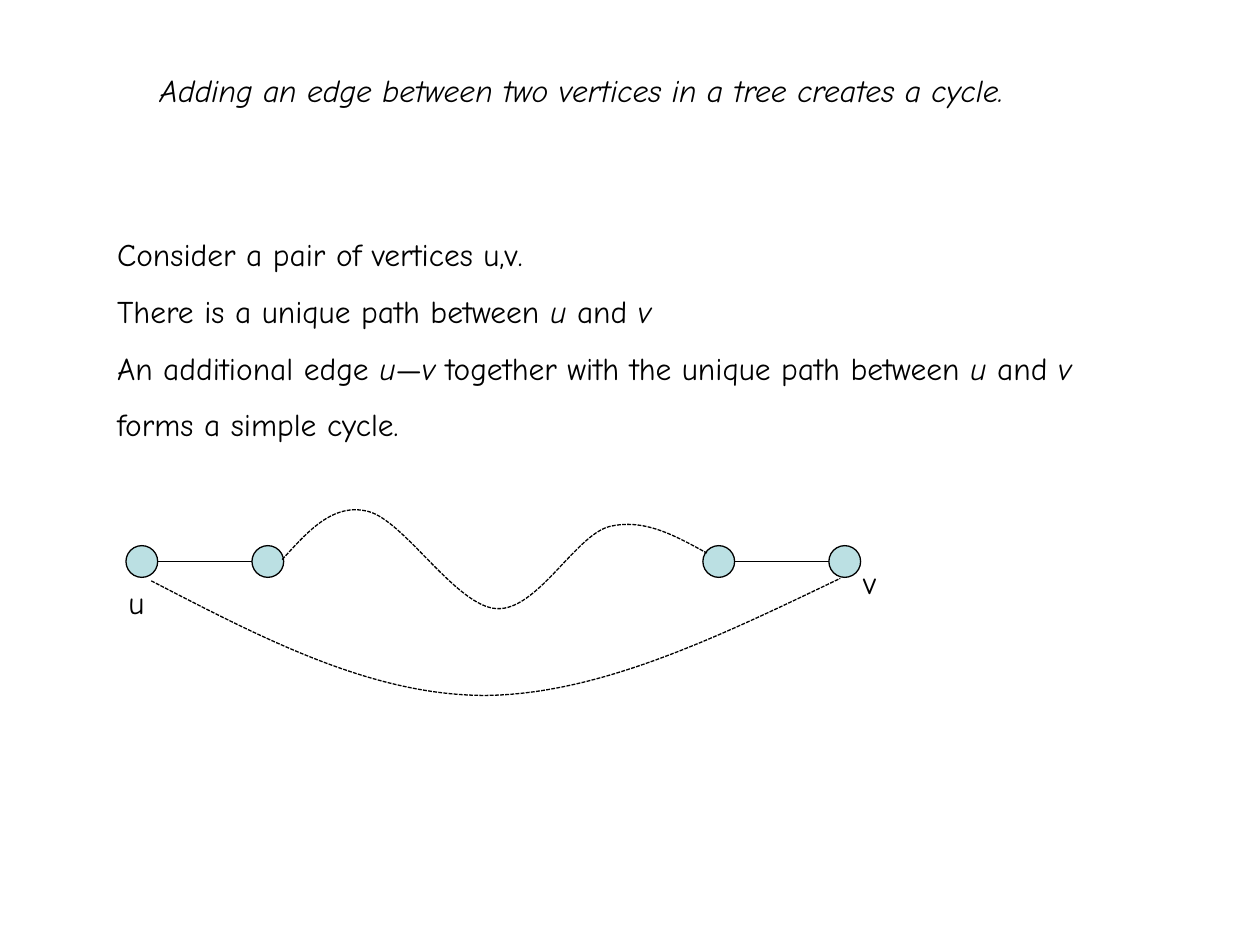
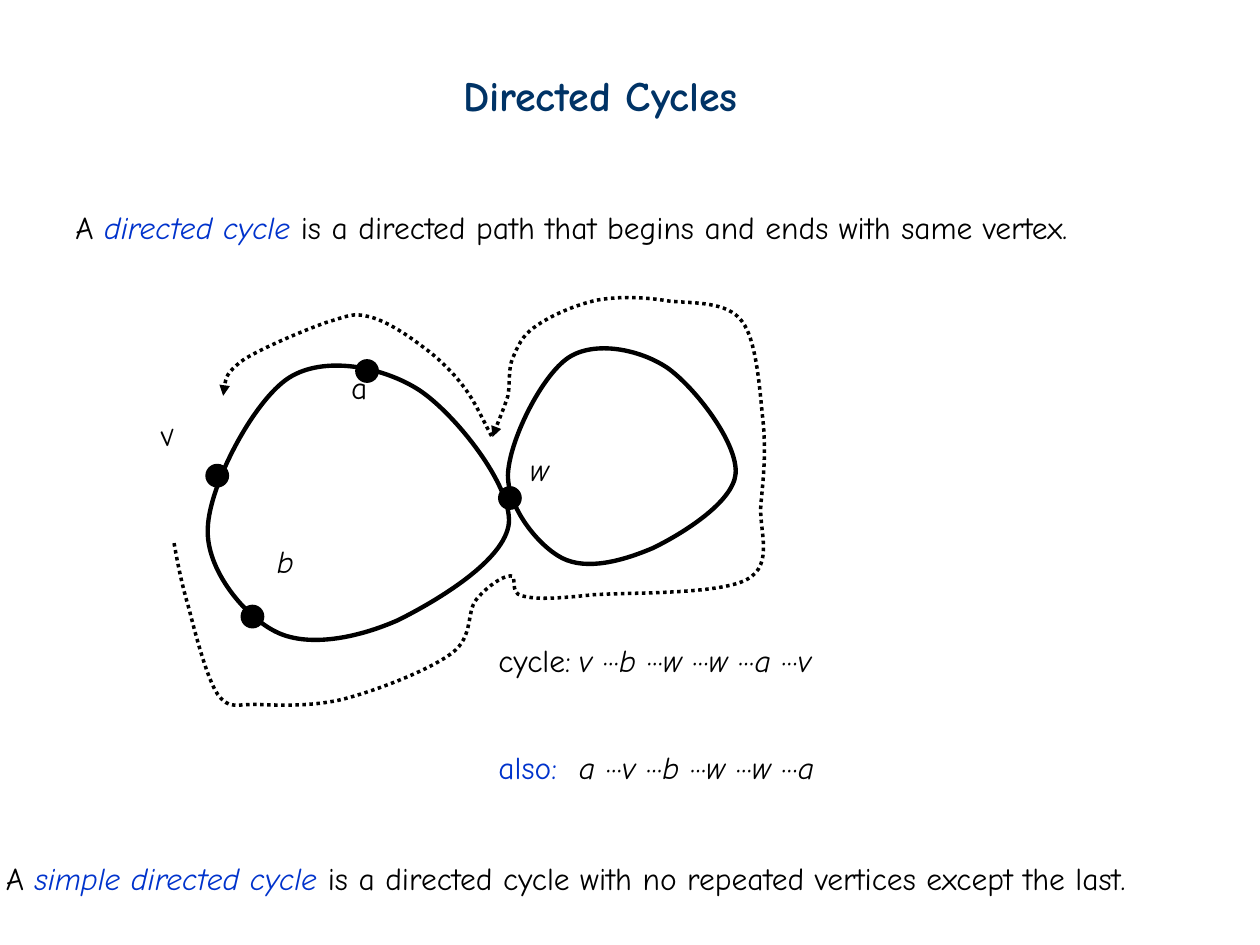
"""Build two slides on cycles in trees and in directed graphs."""
from lxml import etree
from pptx import Presentation
from pptx.dml.color import RGBColor
from pptx.enum.dml import MSO_LINE
from pptx.enum.shapes import MSO_CONNECTOR, MSO_SHAPE
from pptx.enum.text import MSO_AUTO_SIZE
from pptx.oxml.ns import qn
from pptx.util import Cm, Pt

OVAL = MSO_SHAPE.OVAL
STRAIGHT = MSO_CONNECTOR.STRAIGHT
DASHED = MSO_LINE.SQUARE_DOT
DOTTED = MSO_LINE.ROUND_DOT
FIT_TEXT = MSO_AUTO_SIZE.SHAPE_TO_FIT_TEXT

color = RGBColor.from_string
FONT = "Comic Neue"
BLACK, NAVY, BLUE, PALE = "000000", "003366", "0033CC", "BBE0E3"
PLAIN = {}
ITALIC = {"italic": True}
TERM = {"italic": True, "ink": BLUE}
LABEL = {"ink": BLUE}
HEADING = {"bold": True, "size": Pt(24), "ink": NAVY}
TEXT_HEIGHT = 1.02


def write_text(slide, left, top, width, lines, height=TEXT_HEIGHT):
    """Add an unwrapped text box whose lines are lists of (text, style) runs."""
    box = slide.shapes.add_textbox(Cm(left), Cm(top), Cm(width), Cm(height))
    frame = box.text_frame
    frame.word_wrap = False
    frame.auto_size = FIT_TEXT
    for number, runs in enumerate(lines):
        paragraph = frame.add_paragraph() if number else frame.paragraphs[0]
        for text, style in runs:
            if text == "\n":
                paragraph.add_line_break()
                continue
            run = paragraph.add_run()
            run.text = text
            look = {"name": FONT, "size": Pt(18), "ink": BLACK, **style}
            run.font.color.rgb = color(look.pop("ink"))
            for attribute, value in look.items():
                setattr(run.font, attribute, value)
    return box


def draw_curve(slide, points, weight, dash=None, closed=False, arrow=False):
    """Draw a start point followed by triples of cubic Bézier points."""
    start, *rest = [(Cm(x), Cm(y)) for x, y in points]
    builder = slide.shapes.build_freeform(*start)
    builder.add_line_segments(rest, close=closed)
    curve = builder.convert_to_shape()
    curve.shadow.inherit = False
    curve.fill.background()
    curve.line.color.rgb = color(BLACK)
    curve.line.width = Pt(weight)
    if dash is not None:
        curve.line.dash_style = dash
    if arrow:
        outline = curve.element.spPr.find(qn("a:ln"))
        etree.SubElement(outline, qn("a:tailEnd"), type="triangle")
    corners = list(curve.element.iter(qn("a:lnTo")))
    for triple in zip(corners[::3], corners[1::3], corners[2::3]):
        bezier = etree.Element(qn("a:cubicBezTo"))
        triple[0].addprevious(bezier)
        for corner in triple:
            bezier.append(corner[0])
            corner.getparent().remove(corner)


deck = Presentation()
deck.slide_width, deck.slide_height = Cm(25.4), Cm(19.05)
blank = deck.slide_layouts[6]

tree = deck.slides.add_slide(blank)
claim = "Adding an edge between two vertices in a tree creates a cycle."
write_text(tree, 2.97, 1.3, 19.46, [[(claim, ITALIC)]])

proof = write_text(tree, 2.11, 4.24, 21.74, [
    [("Consider a pair of vertices u,v.", PLAIN)],
    [("There is a unique path between ", PLAIN), ("u ", ITALIC),
     ("and ", PLAIN), ("v", ITALIC)],
    [("An additional edge ", PLAIN), ("u", ITALIC), ("—", PLAIN),
     ("v ", ITALIC), ("together with the unique path between ", PLAIN),
     ("u ", ITALIC), ("and ", PLAIN), ("v", ITALIC), ("\n", PLAIN),
     ("forms a simple cycle.", PLAIN)],
], height=4.88)
for step in proof.text_frame.paragraphs:
    step.line_spacing = 1.5

NODE, NODE_TOP, NODE_STEP = 0.64, 11, 2.54
for pair_left in (2.54, 14.17):
    for node_left in (pair_left, pair_left + NODE_STEP):
        node = tree.shapes.add_shape(
            OVAL, Cm(node_left), Cm(NODE_TOP), Cm(NODE), Cm(NODE))
        node.shadow.inherit = False
        node.fill.solid()
        node.fill.fore_color.rgb = color(PALE)
        node.line.color.rgb = color(BLACK)
        node.line.width = Pt(0.75)
    edge_y = Cm(NODE_TOP + NODE / 2)
    edge = tree.shapes.add_connector(
        STRAIGHT, Cm(pair_left + NODE), edge_y, Cm(pair_left + NODE_STEP), edge_y)
    edge.line.color.rgb = color(BLACK)
    edge.line.width = Pt(0.75)
    etree.SubElement(edge._element.spPr, qn("a:effectLst"))

unique_path = [
    (5.69, 11.28),
    (6.2, 10.72), (6.71, 10.13), (7.42, 10.31),
    (8.15, 10.49), (9.19, 12.22), (10.01, 12.27),
    (10.82, 12.32), (11.58, 10.82), (12.27, 10.62),
    (12.98, 10.44), (13.61, 10.8), (14.25, 11.15),
]
added_edge = [
    (3.05, 11.71),
    (5.26, 12.85), (7.47, 14.02), (9.78, 14.02),
    (12.09, 14), (14.5, 12.83), (16.94, 11.66),
]
for route in (unique_path, added_edge):
    draw_curve(tree, route, 0.75, DASHED)
for vertex, left, top in (("u", 2.34, 11.63), ("v", 17.15, 11.23)):
    write_text(tree, left, top, 0.83, [[(vertex, PLAIN)]])

directed = deck.slides.add_slide(blank)
write_text(directed, 9.09, 1.27, 6.96, [[("Directed Cycles", HEADING)]], height=1.27)
definitions = (
    (1.27, 4.06, 22.83, "directed cycle",
     " is a directed path that begins and ends with same vertex."),
    (-0.13, 17.2, 25.96, "simple directed cycle",
     " is a directed cycle with no repeated vertices except the last."),
)
for left, top, width, term, meaning in definitions:
    write_text(directed, left, top, width,
               [[("A ", PLAIN), (term, TERM), (meaning, PLAIN)]])

left_loop = [
    (4.19, 10.64),
    (4.22, 9.78), (5.11, 8.08), (5.82, 7.62),
    (6.53, 7.16), (7.72, 7.39), (8.46, 7.87),
    (9.19, 8.36), (10.31, 9.78), (10.26, 10.54),
    (10.19, 11.3), (8.79, 12.12), (8.03, 12.5),
    (7.24, 12.85), (6.25, 13.06), (5.59, 12.75),
    (4.95, 12.45), (4.14, 11.48), (4.19, 10.64),
]
right_loop = [
    (10.24, 9.58),
    (10.26, 8.89), (10.92, 7.57), (11.46, 7.21),
    (11.99, 6.86), (12.9, 7.04), (13.46, 7.42),
    (14.02, 7.82), (14.88, 8.94), (14.83, 9.55),
    (14.78, 10.13), (13.74, 10.77), (13.16, 11.05),
    (12.57, 11.3), (11.84, 11.51), (11.33, 11.25),
    (10.85, 11), (10.24, 10.24), (10.24, 9.58),
]
for loop in (left_loop, right_loop):
    draw_curve(directed, loop, 2.5, closed=True)

route_back_to_v = [
    (9.91, 8.79),
    (9.73, 8.46), (9.58, 8.1), (9.35, 7.8),
    (9.12, 7.49), (8.81, 7.19), (8.48, 6.96),
    (8.18, 6.73), (7.75, 6.45), (7.42, 6.38),
    (7.11, 6.3), (6.99, 6.38), (6.58, 6.5),
    (6.15, 6.65), (5.23, 7.04), (4.9, 7.26),
    (4.55, 7.52), (4.52, 7.75), (4.5, 7.98),
]
route_from_v_to_w = [
    (3.51, 10.95),
    (3.58, 11.35), (3.66, 11.76), (3.81, 12.27),
    (3.94, 12.78), (4.17, 13.67), (4.39, 14),
    (4.62, 14.3), (4.72, 14.2), (5.18, 14.2),
    (5.61, 14.22), (6.38, 14.25), (7.01, 14.07),
    (7.67, 13.89), (8.69, 13.49), (9.12, 13.16),
    (9.55, 12.83), (9.4, 12.34), (9.6, 12.09),
    (9.8, 11.84), (10.13, 11.61), (10.29, 11.61),
    (10.44, 11.58), (10.26, 11.96), (10.52, 12.01),
    (10.8, 12.09), (11.2, 12.07), (11.96, 11.99),
    (12.7, 11.94), (14.5, 11.99), (15.06, 11.68),
    (15.62, 11.38), (15.29, 10.67), (15.34, 10.16),
    (15.39, 9.63), (15.44, 9.17), (15.39, 8.56),
    (15.32, 7.95), (15.27, 6.88), (14.96, 6.48),
    (14.66, 6.07), (14, 6.12), (13.49, 6.07),
    (13, 5.99), (12.5, 5.97), (12.04, 6.05),
    (11.58, 6.15), (11.07, 6.38), (10.8, 6.58),
    (10.52, 6.76), (10.44, 6.99), (10.34, 7.21),
    (10.24, 7.44), (10.29, 7.7), (10.24, 7.98),
    (10.16, 8.23), (10.03, 8.53), (9.93, 8.81),
]
for route in (route_back_to_v, route_from_v_to_w):
    draw_curve(directed, route, 2, DOTTED, arrow=True)

DOT = 0.48
vertices = (
    ("v", ITALIC, 2.97, 8.23, 4.38, 9.59, -13.5),
    ("a", PLAIN, 6.83, 7.29, 7.4, 7.48, 0),
    ("b", ITALIC, 5.33, 10.8, 5.09, 12.43, 0),
    ("w", ITALIC, 10.44, 8.94, 10.28, 10.04, 0),
)
for vertex, style, left, top, dot_x, dot_y, tilt in vertices:
    write_text(directed, left, top, 0.85, [[(vertex, style)]]).rotation = tilt
    dot = directed.shapes.add_shape(
        OVAL, Cm(dot_x - DOT / 2), Cm(dot_y - DOT / 2), Cm(DOT), Cm(DOT))
    dot.shadow.inherit = False
    dot.fill.solid()
    dot.fill.fore_color.rgb = color(BLACK)
    dot.line.fill.background()

walks = (("cycle:", PLAIN, "vbwwav", 12.8), ("also:", LABEL, "avbwwa", 14.96))
for label, style, walk, top in walks:
    runs = [(label + "\t", style)]
    for vertex in walk[:-1]:
        runs += [(vertex + " ", ITALIC), ("···", PLAIN)]
    runs.append((walk[-1], ITALIC))
    sequence = write_text(directed, 9.8, top, 7.87, [runs])
    properties = sequence.text_frame.paragraphs[0]._p.get_or_add_pPr()
    stops = etree.SubElement(properties, qn("a:tabLst"))
    etree.SubElement(stops, qn("a:tab"), pos=str(Cm(1.62)), algn="l")

deck.save("out.pptx")
